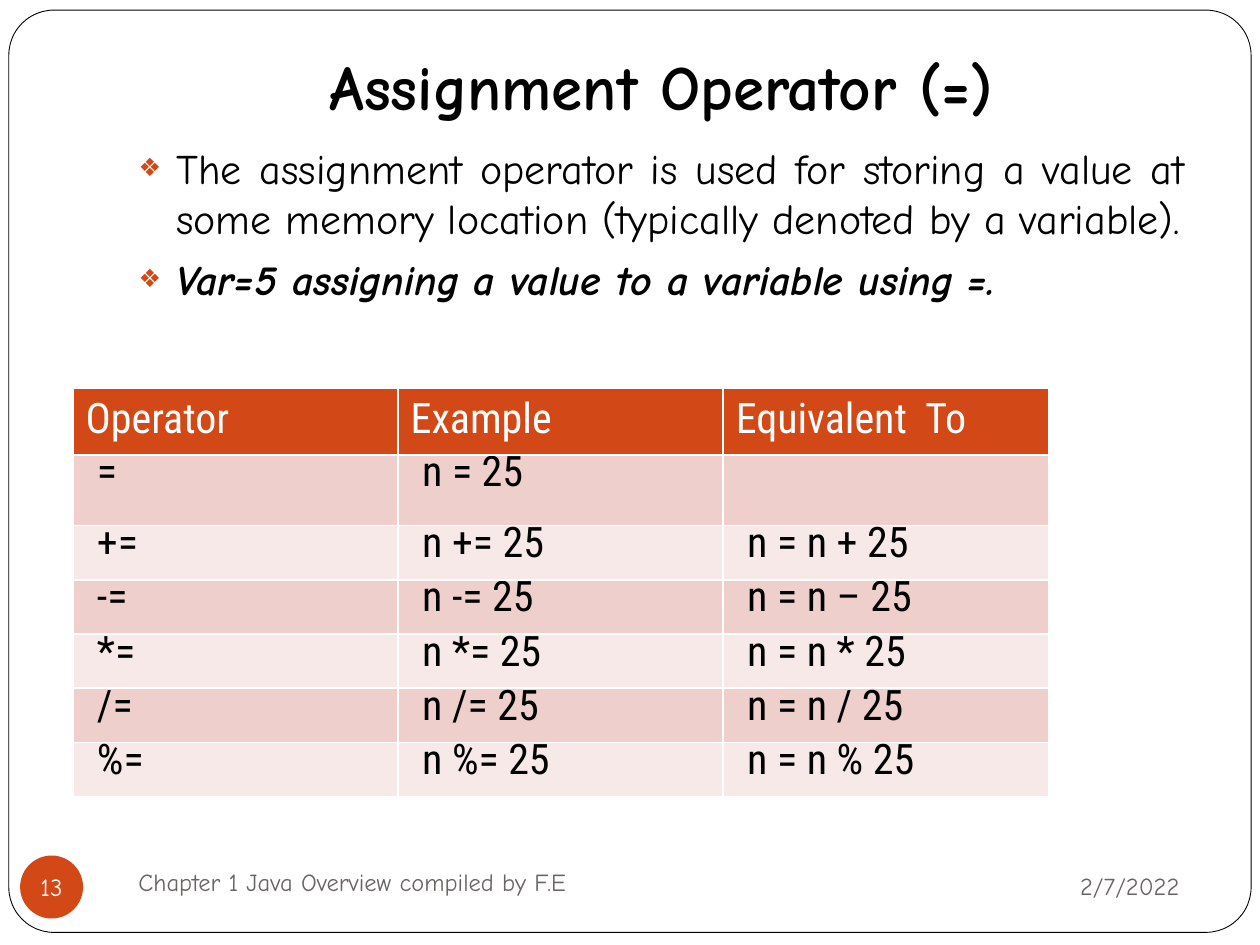
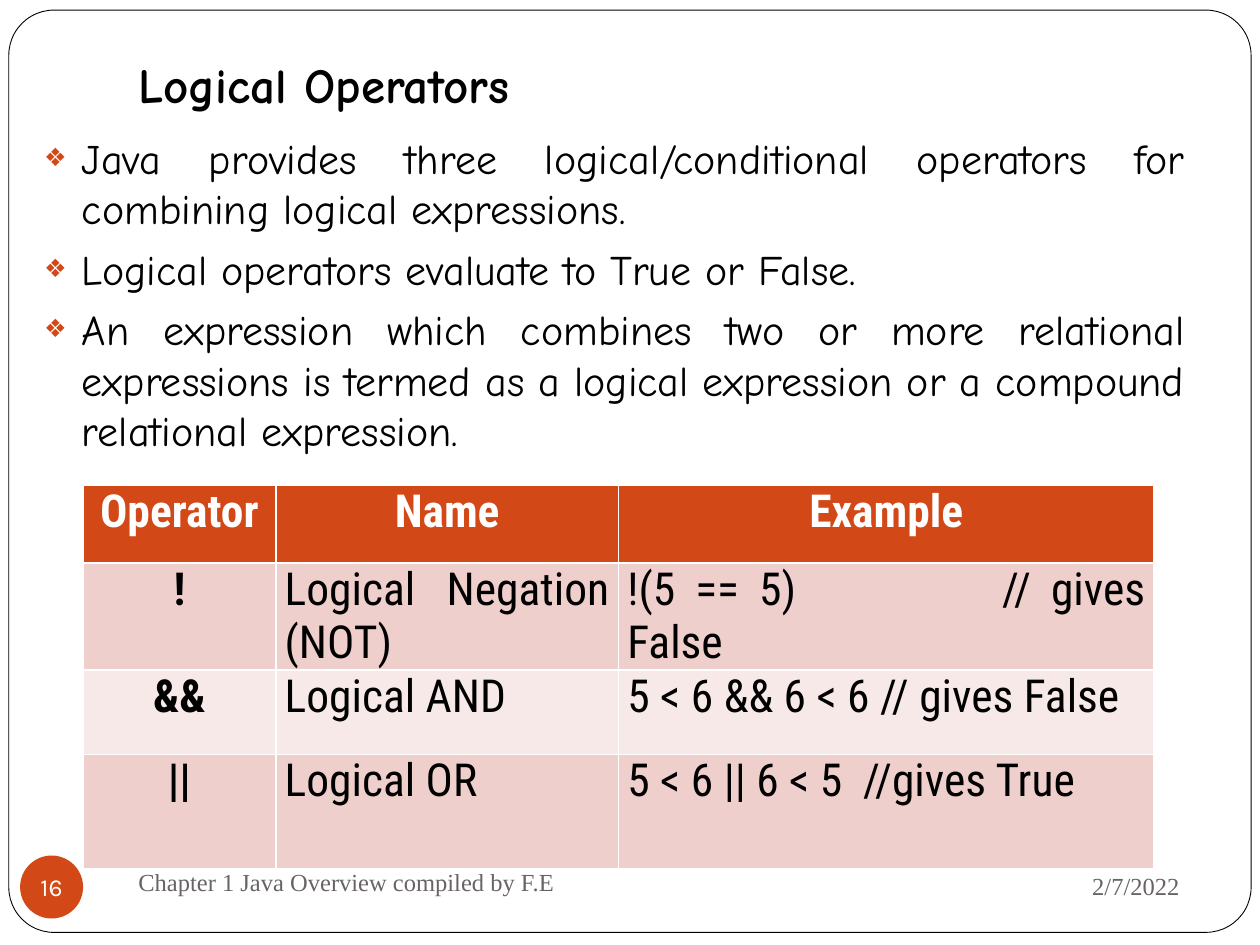
from dataclasses import dataclass

from pptx import Presentation
from pptx.dml.color import RGBColor
from pptx.enum.shapes import MSO_SHAPE as Shape
from pptx.enum.text import MSO_ANCHOR as Anchor, MSO_AUTO_SIZE as AutoSize, PP_ALIGN as Align
from pptx.oxml import parse_xml
from pptx.oxml.ns import nsdecls
from pptx.util import Inches, Pt

BLACK = RGBColor(0x00, 0x00, 0x00)
WHITE = RGBColor(0xFF, 0xFF, 0xFF)
ORANGE = RGBColor(0xD3, 0x48, 0x17)
GRAY = RGBColor(0x69, 0x64, 0x64)
BANDS = (RGBColor(0xEF, 0xCF, 0xCC), RGBColor(0xF7, 0xE9, 0xE8))

HAND_FONT = "Comic Neue"
TABLE_FONT = "Roboto Condensed"
DATE = "2/7/2022"
FOOTER = "Chapter 1 Java Overview compiled by F.E"


@dataclass(frozen=True)
class TextStyle:
    """Font and alignment of a paragraph."""
    size: float
    color: RGBColor = BLACK
    font: str = HAND_FONT
    bold: bool = False
    italic: bool = False
    align: Align = Align.LEFT


@dataclass(frozen=True)
class Margins:
    """Cell margins in inches."""
    left: float = 0.07
    top: float = 0
    right: float = 0.07
    bottom: float = 0


@dataclass(frozen=True)
class TableDesign:
    """Place, sizes and text styles of an operator table."""
    place: tuple[float, float]
    widths: list[float]
    heights: list[float]
    header: TextStyle
    header_margins: Margins
    columns: list[TextStyle]
    cell_margins: Margins
    line_spacing: float | None = None  # points
    tab: float | None = None  # inches


def style_paragraph(para, text: str, style: TextStyle) -> None:
    """Write text into a paragraph and format it."""
    para.text = text
    para.alignment = style.align
    font = para.font
    font.name, font.size = style.font, Pt(style.size)
    font.bold, font.italic = style.bold, style.italic
    font.color.rgb = style.color


def place_shape(shape, left: float, top: float, width: float, height: float) -> None:
    """Move and size a shape, in inches."""
    shape.left, shape.top = Inches(left), Inches(top)
    shape.width, shape.height = Inches(width), Inches(height)


def add_frame(page) -> None:
    """Put the rounded page outline behind everything else."""
    frame = page.shapes.add_shape(Shape.ROUNDED_RECTANGLE, Inches(0.07), Inches(0.08),
                                  Inches(9.86), Inches(7.32))
    frame.adjustments[0] = 0.049
    frame.shadow.inherit = False
    frame.fill.solid()
    frame.fill.fore_color.rgb = WHITE
    frame.line.color.rgb = BLACK
    frame.line.width = Pt(0.5)
    page.shapes.title.element.addprevious(frame.element)


def fill_title(page, text: str, height: float, style: TextStyle) -> None:
    """Fill the title placeholder."""
    title = page.shapes.title
    place_shape(title, 1, 0.3, 8.5, height)
    frame = title.text_frame
    frame.auto_size, frame.vertical_anchor = AutoSize.NONE, Anchor.BOTTOM
    frame.margin_bottom = Inches(0.1)
    style_paragraph(frame.paragraphs[0], text, style)


def add_bullet(para) -> None:
    """Give a paragraph the orange diamond and a hanging indent."""
    properties = para._p.get_or_add_pPr()
    properties.set("marL", str(Inches(0.3)))
    properties.set("indent", str(-Inches(0.3)))
    for tag in (f'<a:buClr {nsdecls("a")}><a:srgbClr val="{ORANGE}"/></a:buClr>',
                f'<a:buSzPct {nsdecls("a")} val="60000"/>',
                f'<a:buChar {nsdecls("a")} char="\u2756"/>'):
        properties.append(parse_xml(tag))


def fill_body(page, left: float, top: float, items: list[tuple[str, TextStyle]]) -> None:
    """Fill the body placeholder with bulleted paragraphs."""
    body = page.placeholders[1]
    place_shape(body, left, top, 9.5 - left, 6.58 - top)
    frame = body.text_frame
    frame.auto_size = AutoSize.NONE
    for index, (text, style) in enumerate(items):
        para = frame.add_paragraph() if index else frame.paragraphs[0]
        add_bullet(para)
        style_paragraph(para, text, style)
        para.space_before = Pt(5.8)


def add_number(page, number: int, font: str) -> None:
    """Draw the slide number in its disc."""
    disc = page.shapes.add_shape(Shape.OVAL, Inches(0.16), Inches(6.79), Inches(0.5), Inches(0.5))
    disc.shadow.inherit = False
    disc.fill.solid()
    disc.fill.fore_color.rgb = ORANGE
    disc.line.fill.background()
    frame = disc.text_frame
    frame.margin_left = frame.margin_right = frame.margin_top = frame.margin_bottom = 0
    frame.word_wrap, frame.vertical_anchor = False, Anchor.MIDDLE
    style_paragraph(frame.paragraphs[0], str(number),
                    TextStyle(14, WHITE, font, align=Align.CENTER))


def add_footer(page, font: str) -> None:
    """Write the date and the chapter line."""
    for text, place, align in ((DATE, (6.75, 6.77, 2.71, 0.52), Align.RIGHT),
                               (FOOTER, (1, 6.75, 4.33, 0.5), Align.LEFT)):
        box = page.shapes.add_textbox(*map(Inches, place))
        frame = box.text_frame
        frame.word_wrap, frame.vertical_anchor = True, Anchor.MIDDLE
        style_paragraph(frame.paragraphs[0], text, TextStyle(14, GRAY, font, align=align))


def fill_cell(cell, text: str, color: RGBColor, style: TextStyle, margins: Margins) -> None:
    """Fill one table cell."""
    cell.fill.solid()
    cell.fill.fore_color.rgb = color
    cell.margin_left, cell.margin_top = Inches(margins.left), Inches(margins.top)
    cell.margin_right, cell.margin_bottom = Inches(margins.right), Inches(margins.bottom)
    style_paragraph(cell.text_frame.paragraphs[0], text, style)


def add_operator_table(page, design: TableDesign, rows: list[tuple[str, ...]]) -> None:
    """Draw a table with an orange header and pink bands."""
    left, top = design.place
    table = page.shapes.add_table(len(rows), len(design.widths), Inches(left), Inches(top),
                                  Inches(sum(design.widths)), Inches(sum(design.heights))).table
    for column, width in zip(table.columns, design.widths):
        column.width = Inches(width)
    for row, height in zip(table.rows, design.heights):
        row.height = Inches(height)
    for column, text in enumerate(rows[0]):
        fill_cell(table.cell(0, column), text, ORANGE, design.header, design.header_margins)
    for row, texts in enumerate(rows[1:], start=1):
        for column, text in enumerate(texts):
            cell = table.cell(row, column)
            para = cell.text_frame.paragraphs[0]
            if design.tab and "\t" in text:
                para._p.get_or_add_pPr().append(parse_xml(
                    f'<a:tabLst {nsdecls("a")}><a:tab pos="{Inches(design.tab)}" algn="l"/></a:tabLst>'))
            fill_cell(cell, text, BANDS[(row - 1) % 2], design.columns[column], design.cell_margins)
            if design.line_spacing:
                para.line_spacing = Pt(design.line_spacing)


BODY = TextStyle(24, align=Align.JUSTIFY)
EMPHASIS = TextStyle(24, bold=True, italic=True, align=Align.JUSTIFY)


def build_assignment_page(deck) -> None:
    """Build the slide on the assignment operator."""
    page = deck.slides.add_slide(deck.slide_layouts[1])
    add_frame(page)
    fill_title(page, "Assignment Operator (=)", 0.78, TextStyle(36, bold=True, align=Align.CENTER))
    fill_body(page, 1, 1.08, [
        ("The assignment operator is used for storing a value at some memory location "
         "(typically denoted by a variable).", BODY),
        ("Var=5 assigning a value to a variable using =.", EMPHASIS),
    ])
    add_number(page, 13, HAND_FONT)
    design = TableDesign(
        place=(0.58, 3.08), widths=[2.58] * 3, heights=[0.53] + [0.43] * 6,
        header=TextStyle(24, WHITE, TABLE_FONT), header_margins=Margins(0.1, 0.05, 0.1, 0.05),
        columns=[TextStyle(24, font=TABLE_FONT)] * 3,
        cell_margins=Margins(left=0.19, top=0.17), line_spacing=12)
    compound = [(f"{sign}=", f"n {sign}= 25", f"n = n {shown} 25")
                for sign, shown in zip("+-*/%", "+\u2013*/%")]
    add_operator_table(page, design, [("Operator", "Example", "Equivalent  To"),
                                      ("=", "n = 25", ""), *compound])
    add_footer(page, HAND_FONT)


def build_logical_page(deck) -> None:
    """Build the slide on the logical operators."""
    page = deck.slides.add_slide(deck.slide_layouts[1])
    add_frame(page)
    fill_title(page, "Logical Operators", 0.7, TextStyle(28, bold=True))
    fill_body(page, 0.25, 1, [(text, BODY) for text in (
        "Java provides three logical/conditional operators for combining logical expressions.",
        "Logical operators evaluate to True or False.",
        "An expression which combines two or more relational expressions is termed as "
        "a logical expression or a compound relational expression.",
    )])
    add_number(page, 16, "Karla")
    plain = TextStyle(26, font=TABLE_FONT, align=Align.JUSTIFY)
    design = TableDesign(
        place=(0.66, 3.85), widths=[1.53, 2.72, 4.25], heights=[0.62, 0.65, 0.67, 0.91],
        header=TextStyle(26, WHITE, TABLE_FONT, bold=True, align=Align.CENTER),
        header_margins=Margins(),
        columns=[TextStyle(26, font=TABLE_FONT, bold=True, align=Align.CENTER), plain, plain],
        cell_margins=Margins(), tab=2.82)
    add_operator_table(page, design, [
        ("Operator", "Name", "Example"),
        ("!", "Logical Negation (NOT)", "!(5 == 5)\t// gives False"),
        ("&&", "Logical AND", "5 < 6 && 6 < 6 // gives False"),
        ("||", "Logical OR", "5 < 6 || 6 < 5  //gives True"),
    ])
    add_footer(page, "Times New Roman")


def main() -> None:
    """Build and save the deck."""
    deck = Presentation()
    deck.slide_width, deck.slide_height = Inches(10), Inches(7.5)
    build_assignment_page(deck)
    build_logical_page(deck)
    deck.save("out.pptx")


main()
